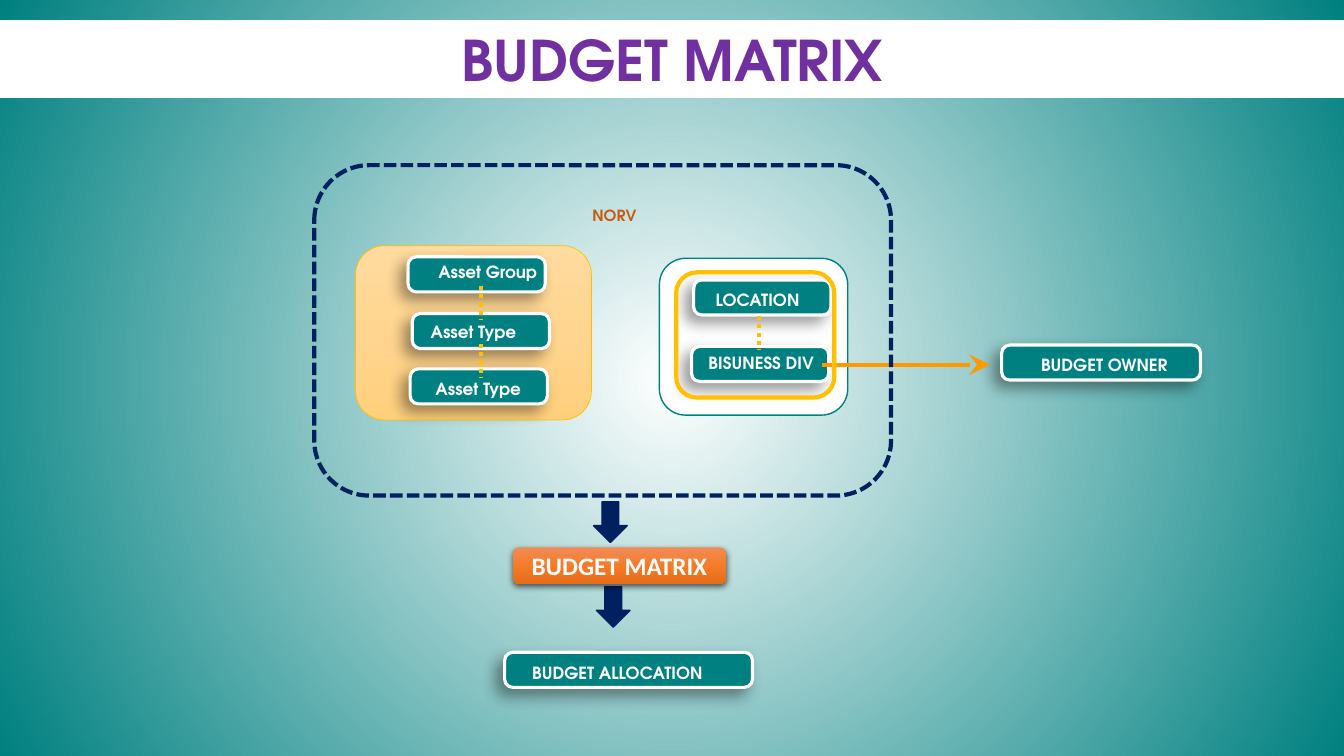
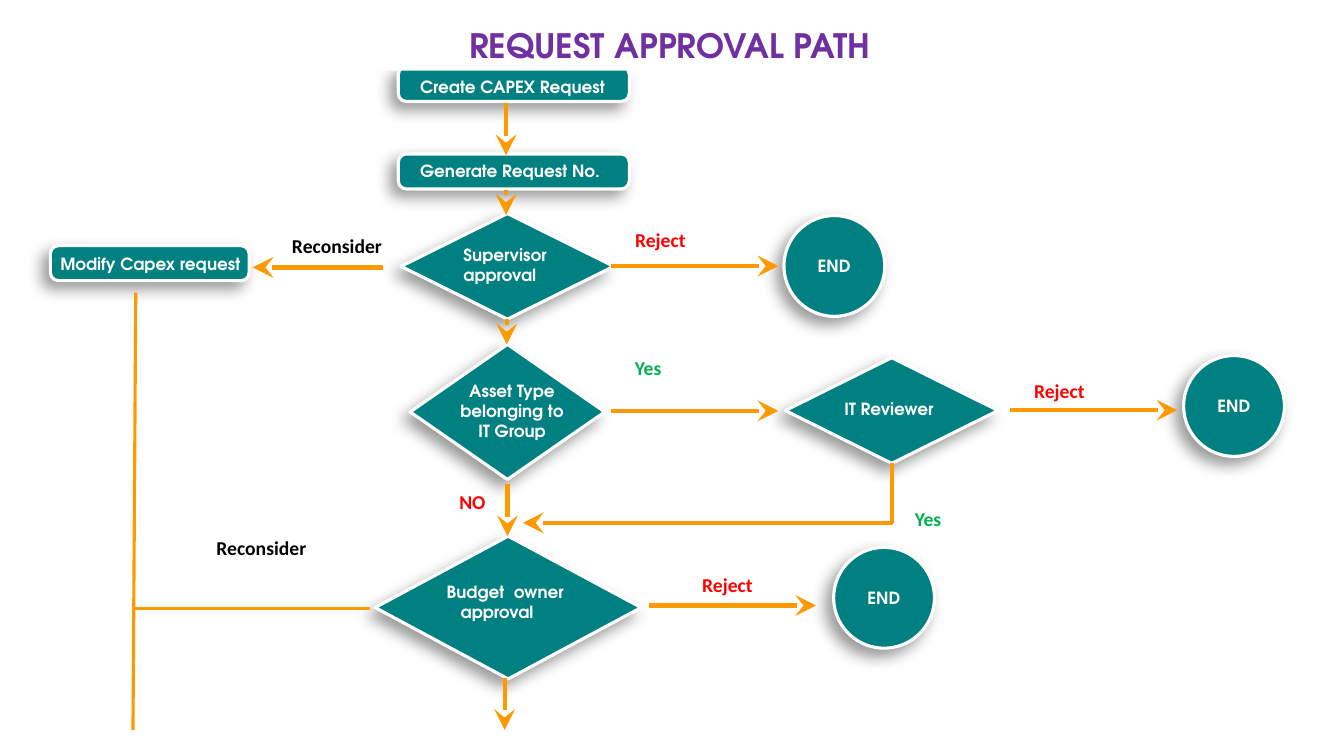
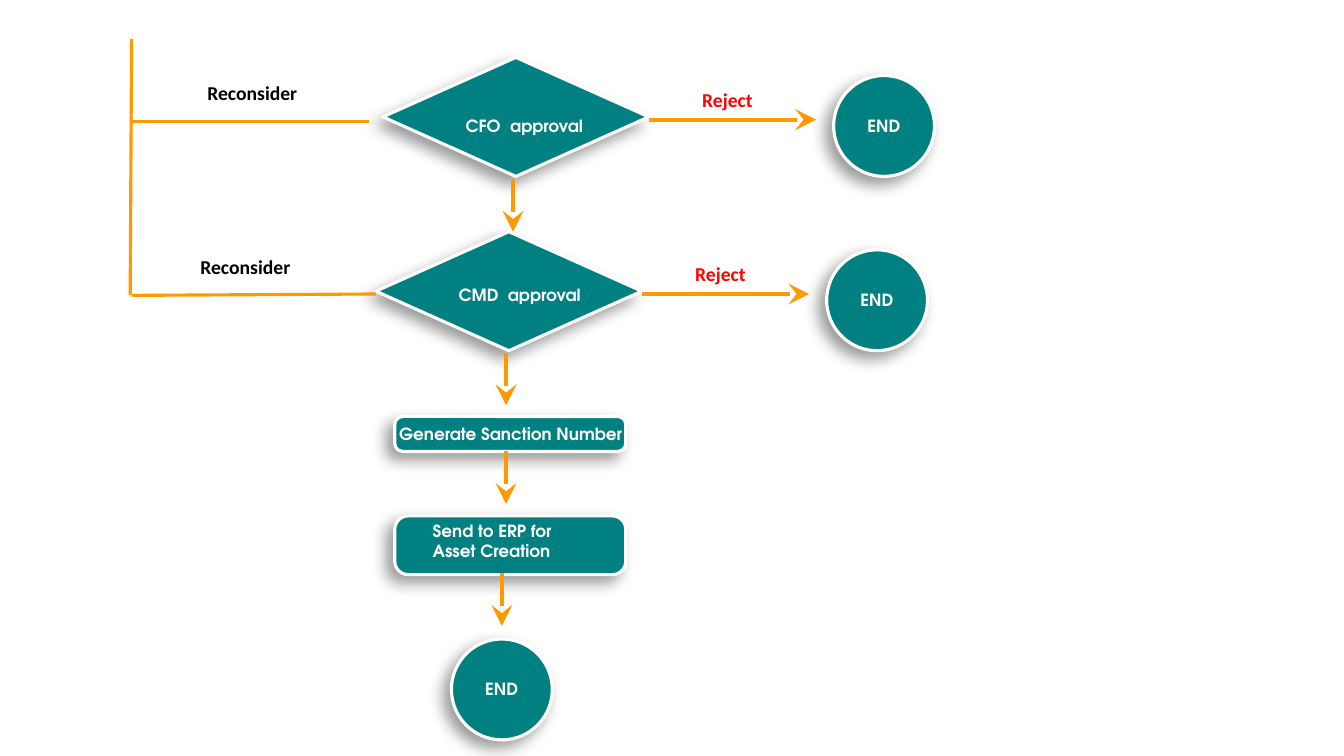
"""Build three slides on budget allocation and the approval path of a capital request."""

from dataclasses import dataclass
from typing import Any, Optional

import lxml.etree
import pptx
import pptx.dml.color
import pptx.enum.dml
import pptx.enum.shapes
import pptx.enum.text
import pptx.oxml.ns
import pptx.util

TEAL, WHITE, BLACK, NAVY = "008080", "FFFFFF", "000000", "002060"
ORANGE, AMBER, RUST, PURPLE = "FF9900", "FFC000", "C55A11", "7030A0"
RED, GREEN = "FF0000", "00B050"
HEADING_FONT, NOTE_FONT = "TeX Gyre Adventor", "Calibri"
SLIDE_WIDTH, SLIDE_HEIGHT = 960, 540
BAR_HEIGHT, END_SIZE = 25, 72

BAR = pptx.enum.shapes.MSO_SHAPE.ROUNDED_RECTANGLE
DECISION = pptx.enum.shapes.MSO_SHAPE.FLOWCHART_DECISION
CIRCLE = pptx.enum.shapes.MSO_SHAPE.OVAL
DOWN_ARROW = pptx.enum.shapes.MSO_SHAPE.DOWN_ARROW
CENTER = pptx.enum.text.PP_ALIGN.CENTER
LEFT = pptx.enum.text.PP_ALIGN.LEFT
DOTS = pptx.enum.dml.MSO_LINE.ROUND_DOT
DASHES = pptx.enum.dml.MSO_LINE.SQUARE_DOT


@dataclass(frozen=True)
class Label:
    """Text on one or more lines, placed by its top left corner."""

    text: str
    left: float
    top: float
    width: float
    color: str = WHITE
    size: float = 12
    font: str = HEADING_FONT
    align: Any = LEFT
    last_indent: float = 0


@dataclass(frozen=True)
class Panel:
    """An outlined area or block."""

    left: float
    top: float
    width: float
    height: float
    line: Optional[str]
    weight: float = 1
    fill: Optional[str] = None
    kind: Any = BAR
    dash: Any = None


@dataclass(frozen=True)
class Step:
    """A flow step whose label is offset from the step's corner."""

    text: str
    left: float
    top: float
    width: float
    label_dx: float
    label_dy: float
    label_width: float
    height: float = BAR_HEIGHT
    kind: Any = BAR
    align: Any = LEFT
    last_indent: float = 0


@dataclass(frozen=True)
class Link:
    """A straight line or arrow between two points."""

    x1: float
    y1: float
    x2: float
    y2: float
    color: str = ORANGE
    weight: float = 3
    arrow: bool = True
    dash: Any = None


def rgb(color: str) -> pptx.dml.color.RGBColor:
    """Turn a hex string into a colour."""
    return pptx.dml.color.RGBColor.from_string(color)


def child(parent: Any, tag: str, **attributes: Any) -> Any:
    """Append a drawing element with the given attributes."""
    element = lxml.etree.SubElement(parent, pptx.oxml.ns.qn(tag))
    for name, value in attributes.items():
        element.set(name, str(value))
    return element


def set_gradient(gradient: Any, stops: list[tuple[int, str]], circular: bool = False) -> None:
    """Replace the stops and direction of a gradient fill."""
    gradient.clear()
    stop_list = child(gradient, "a:gsLst")
    for percent, color in stops:
        stop = child(stop_list, "a:gs", pos=percent * 1000)
        child(stop, "a:srgbClr", val=color)
    if circular:
        circle = child(gradient, "a:path", path="circle")
        child(circle, "a:fillToRect", l=50000, t=50000, r=50000, b=50000)
    else:
        child(gradient, "a:lin", ang=5400000, scaled=0)


def shape_gradient(shape: Any, stops: list[tuple[int, str]]) -> None:
    """Fill a shape with a top to bottom gradient."""
    shape.fill.gradient()
    set_gradient(shape._element.spPr.find(pptx.oxml.ns.qn("a:gradFill")), stops)


def add_shadow(shape: Any, alpha: int, blur: float, distance: float, angle: int) -> None:
    """Give a shape an outer black shadow."""
    effects = shape._element.spPr.find(pptx.oxml.ns.qn("a:effectLst"))
    shadow = child(effects, "a:outerShdw", blurRad=pptx.util.Pt(blur), dist=pptx.util.Pt(distance),
                   dir=angle * 60000, algn="tl", rotWithShape=0)
    child(child(shadow, "a:srgbClr", val=BLACK), "a:alpha", val=alpha * 1000)


def format_text(frame: Any, text: str, font: str, size: float, color: str, align: Any) -> None:
    """Set bold text in one style."""
    frame.text = text
    for paragraph in frame.paragraphs:
        paragraph.alignment = align
        for run in paragraph.runs:
            run.font.name = font
            run.font.size = pptx.util.Pt(size)
            run.font.bold = True
            run.font.color.rgb = rgb(color)


def add_label(slide: Any, label: Label) -> None:
    """Draw a label in a box that does not wrap."""
    height = 1.2 * label.size * len(label.text.split("\n")) + 7.2
    box = slide.shapes.add_textbox(*map(pptx.util.Pt, (label.left, label.top, label.width, height)))
    frame = box.text_frame
    frame.word_wrap = False
    frame.auto_size = pptx.enum.text.MSO_AUTO_SIZE.SHAPE_TO_FIT_TEXT
    format_text(frame, label.text, label.font, label.size, label.color, label.align)
    if label.last_indent:
        properties = frame.paragraphs[-1]._p.get_or_add_pPr()
        properties.set("marL", str(pptx.util.Pt(label.last_indent)))


def add_panel(slide: Any, panel: Panel) -> Any:
    """Draw a panel and return its shape."""
    shape = slide.shapes.add_shape(
        panel.kind, *map(pptx.util.Pt, (panel.left, panel.top, panel.width, panel.height)))
    shape.shadow.inherit = False
    if panel.fill:
        shape.fill.solid()
        shape.fill.fore_color.rgb = rgb(panel.fill)
    else:
        shape.fill.background()
    if panel.line:
        shape.line.color.rgb = rgb(panel.line)
        shape.line.width = pptx.util.Pt(panel.weight)
        if panel.dash:
            shape.line.dash_style = panel.dash
    else:
        shape.line.fill.background()
    return shape


def add_step(slide: Any, step: Step) -> None:
    """Draw a teal step with its shadow and label."""
    shape = add_panel(slide, Panel(step.left, step.top, step.width, step.height,
                                   WHITE, 2.25, TEAL, step.kind))
    if step.kind == BAR:
        shape.adjustments[0] = 0.23
    add_shadow(shape, 40, 11, 7, 135)
    add_label(slide, Label(step.text, step.left + step.label_dx, step.top + step.label_dy,
                           step.label_width, align=step.align, last_indent=step.last_indent))


def end_step(left: float, top: float) -> Step:
    """Describe an END circle."""
    return Step("END", left, top, END_SIZE, 17, 25, 38, END_SIZE, CIRCLE)


def style_connector(connector: Any, link: Link) -> None:
    """Set line, dash and arrowhead of a connector."""
    connector.line.color.rgb = rgb(link.color)
    connector.line.width = pptx.util.Pt(link.weight)
    if link.dash:
        connector.line.dash_style = link.dash
    properties = connector._element.spPr
    if link.arrow:
        child(properties.find(pptx.oxml.ns.qn("a:ln")), "a:tailEnd",
              type="stealth", w="lg", len="lg")
    child(properties, "a:effectLst")


def add_link(slide: Any, link: Link) -> None:
    """Draw a straight link."""
    connector = slide.shapes.add_connector(
        pptx.enum.shapes.MSO_CONNECTOR.STRAIGHT,
        *map(pptx.util.Pt, (link.x1, link.y1, link.x2, link.y2)))
    style_connector(connector, link)


def add_corner_link(slide: Any, link: Link) -> None:
    """Draw an arrow that goes down and then left."""
    center_x, center_y = (link.x1 + link.x2) / 2, (link.y1 + link.y2) / 2
    half_drop, half_run = (link.y2 - link.y1) / 2, (link.x1 - link.x2) / 2
    connector = slide.shapes.add_connector(
        pptx.enum.shapes.MSO_CONNECTOR.ELBOW,
        *map(pptx.util.Pt, (center_x - half_drop, center_y - half_run,
                            center_x + half_drop, center_y + half_run)))
    properties = connector._element.spPr
    properties.find(pptx.oxml.ns.qn("a:xfrm")).set("rot", "5400000")
    properties.find(pptx.oxml.ns.qn("a:prstGeom")).set("prst", "bentConnector2")
    style_connector(connector, link)


def right_arrow(left: float, y: float) -> Link:
    """Describe an arrow to the right."""
    return Link(left, y, left + 119.5, y)


def down_arrow(x: float, top: float, length: float = 37.5) -> Link:
    """Describe an arrow downwards."""
    return Link(x, top, x, top + length)


def return_line(x1: float, y1: float, x2: float, y2: float) -> Link:
    """Describe a part of the path back to the modified request."""
    return Link(x1, y1, x2, y2, weight=2.25, arrow=False)


def dotted_tie(x: float, top: float) -> Link:
    """Describe a dotted tie between two stacked steps."""
    return Link(x, top, x, top + 24.5, AMBER, arrow=False, dash=DOTS)


def note(text: str, left: float, top: float, color: str) -> Label:
    """Describe a note beside an arrow."""
    widths = {"Reconsider": 79, "Reject": 51}
    return Label(text, left, top, widths.get(text, 33), color, 14, NOTE_FONT)


def add_title(slide: Any, text: str, left: float, height: float, size: float) -> None:
    """Place the title in a white band of fixed height in front of the steps."""
    title = slide.shapes.title
    title.left, title.top = pptx.util.Pt(left), pptx.util.Pt(14.4)
    title.width, title.height = pptx.util.Pt(SLIDE_WIDTH), pptx.util.Pt(height)
    title.fill.solid()
    title.fill.fore_color.rgb = rgb(WHITE)
    title.text_frame.vertical_anchor = pptx.enum.text.MSO_ANCHOR.TOP
    title.text_frame.auto_size = pptx.enum.text.MSO_AUTO_SIZE.NONE
    format_text(title.text_frame, text, HEADING_FONT, size, PURPLE, CENTER)
    slide.shapes._spTree.append(title._element)


def draw_flow(slide: Any, steps: list[Step], links: list[Link], notes: list[Label]) -> None:
    """Draw steps, then links, then notes."""
    for step in steps:
        add_step(slide, step)
    for link in links:
        add_link(slide, link)
    for label in notes:
        add_label(slide, label)


def build_matrix(slide: Any) -> None:
    """Build the budget matrix slide."""
    slide.background.fill.gradient()
    set_gradient(next(slide._element.iter(pptx.oxml.ns.qn("a:gradFill"))),
                 [(0, WHITE), (100, TEAL)], circular=True)
    assets = add_panel(slide, Panel(254, 175.5, 168.5, 124.5, AMBER, 0.5))
    shape_gradient(assets, [(0, "FFDB9E"), (50, "FFD590"), (100, "FFD07C")])
    add_panel(slide, Panel(471, 184.5, 134.5, 112, TEAL, 1, WHITE))
    steps = [
        Step("Asset Group", 291.5, 183.5, 98, 14.5, 0, 86),
        Step("Asset Type", 294.5, 224, 98, 6, 2, 76),
        Step("Asset Type", 293, 263.5, 98, 11, 3.5, 76),
        Step("LOCATION", 495.5, 200, 98, 8.5, 3.5, 76),
        Step("BISUNESS DIV", 494, 247.5, 98, 5, 1, 91),
        Step("BUDGET OWNER", 715.5, 246.5, 142, 21, 3.5, 109.5),
        Step("BUDGET ALLOCATION", 360.5, 466, 177, 12.5, 4, 139),
    ]
    ties = [dotted_tie(x, top) for x, top in ((542, 225.5), (343.5, 204), (343.5, 245.5))]
    company = Label("NORV", 416, 144, 48, RUST, 11)
    draw_flow(slide, steps, ties + [right_arrow(587.5, 260.5)], [company])
    for panel in (
        Panel(483, 194.5, 113, 89.5, AMBER, 3),
        Panel(224.5, 118, 412, 236, NAVY, 3, dash=DASHES),
        Panel(424, 358.5, 24, 29, NAVY, 1, NAVY, DOWN_ARROW),
        Panel(426, 419, 24, 29, NAVY, 1, NAVY, DOWN_ARROW),
    ):
        add_panel(slide, panel)
    matrix = add_panel(slide, Panel(366.5, 391, 152, 26, None))
    shape_gradient(matrix, [(0, "F18C57"), (50, "F67B28"), (100, "E56C19")])
    add_shadow(matrix, 63, 4.5, 1.5, 90)
    matrix.text_frame.vertical_anchor = pptx.enum.text.MSO_ANCHOR.MIDDLE
    format_text(matrix.text_frame, "BUDGET MATRIX", NOTE_FONT, 18, WHITE, CENTER)
    add_title(slide, "BUDGET MATRIX", 0, 55.5, 40)


def build_request_path(slide: Any) -> None:
    """Build the first part of the approval path."""
    steps = [
        Step("Create CAPEX Request", 284.5, 47.5, 165, 8.5, 3.5, 148.5),
        Step("Generate Request No.", 284.5, 110, 165, 8.5, 1.5, 148.5),
        Step("Supervisor\napproval", 286.5, 152.5, 152, 37.5, 19, 78, 75.5, DECISION),
        Step("Asset Type\nbelonging to\nIT Group", 293, 246, 139, 28, 22.5, 89.5, 96.5,
             DECISION, CENTER),
        Step("IT Reviewer", 561, 255.5, 152, 35, 25.5, 80, 75.5, DECISION),
        Step("Budget  owner\napproval", 268, 383, 190, 44, 29, 103, 102, DECISION,
             last_indent=10),
        Step("Modify Capex request", 36, 175.5, 142, 0, 2.5, 144.5),
        end_step(560, 154),
        end_step(845.5, 254),
        end_step(595.5, 391),
    ]
    links = [
        down_arrow(361.5, 73.5),
        down_arrow(361.5, 135.5, 18),
        down_arrow(362, 228, 18),
        down_arrow(362.5, 345.5),
        down_arrow(360.5, 484),
        right_arrow(436.5, 190),
        right_arrow(436.5, 293.5),
        right_arrow(721.5, 293),
        right_arrow(463.5, 432.5),
        Link(273.5, 191, 180.5, 191),
        return_line(97, 209, 95, 521.5),
        return_line(264.5, 434.5, 95, 434.5),
    ]
    notes = [
        note("Reconsider", 201.5, 163.5, BLACK),
        note("Reconsider", 147.5, 379.5, BLACK),
        note("Reject", 446.5, 159, RED),
        note("Reject", 731.5, 267, RED),
        note("Reject", 494.5, 405.5, RED),
        note("NO", 321, 346.5, RED),
        note("Yes", 446.5, 250.5, GREEN),
        note("Yes", 646.5, 358.5, GREEN),
    ]
    draw_flow(slide, steps, links, notes)
    add_corner_link(slide, Link(637, 331, 373.5, 373.5))
    add_title(slide, "REQUEST APPROVAL PATH", -1.5, 36, 24)


def build_sanction_path(slide: Any) -> None:
    """Build the last part of the approval path."""
    steps = [
        Step("CFO  approval", 273.5, 41, 190, 52, 38, 100, 85, DECISION),
        Step("CMD  approval", 268.5, 165.5, 190, 52, 34, 103, 85, DECISION),
        Step("Generate Sanction Number", 282, 297.5, 165, -4, 1.5, 175.5),
        Step("Send to ERP for\nAsset Creation", 282, 368.5, 165, 20, 0, 106, 42),
        end_step(595.5, 54),
        end_step(590.5, 178.5),
        end_step(322.5, 456.5),
    ]
    links = [
        down_arrow(366.5, 128),
        down_arrow(361.5, 252),
        down_arrow(361.5, 322.5),
        down_arrow(358.5, 409.5),
        right_arrow(463.5, 85.5),
        right_arrow(458.5, 210),
        return_line(94, 28, 93, 211),
        return_line(263.5, 87, 94, 87),
        return_line(268.5, 210, 94, 211),
    ]
    notes = [
        note("Reconsider", 141, 54.5, BLACK),
        note("Reconsider", 136, 178.5, BLACK),
        note("Reject", 494.5, 59.5, RED),
        note("Reject", 489.5, 183.5, RED),
    ]
    draw_flow(slide, steps, links, notes)


def main() -> None:
    """Build and save the presentation."""
    deck = pptx.Presentation()
    deck.slide_width = pptx.util.Pt(SLIDE_WIDTH)
    deck.slide_height = pptx.util.Pt(SLIDE_HEIGHT)
    title_only, blank = deck.slide_layouts[5], deck.slide_layouts[6]
    build_matrix(deck.slides.add_slide(title_only))
    build_request_path(deck.slides.add_slide(title_only))
    build_sanction_path(deck.slides.add_slide(blank))
    deck.save("out.pptx")


if __name__ == "__main__":
    main()
